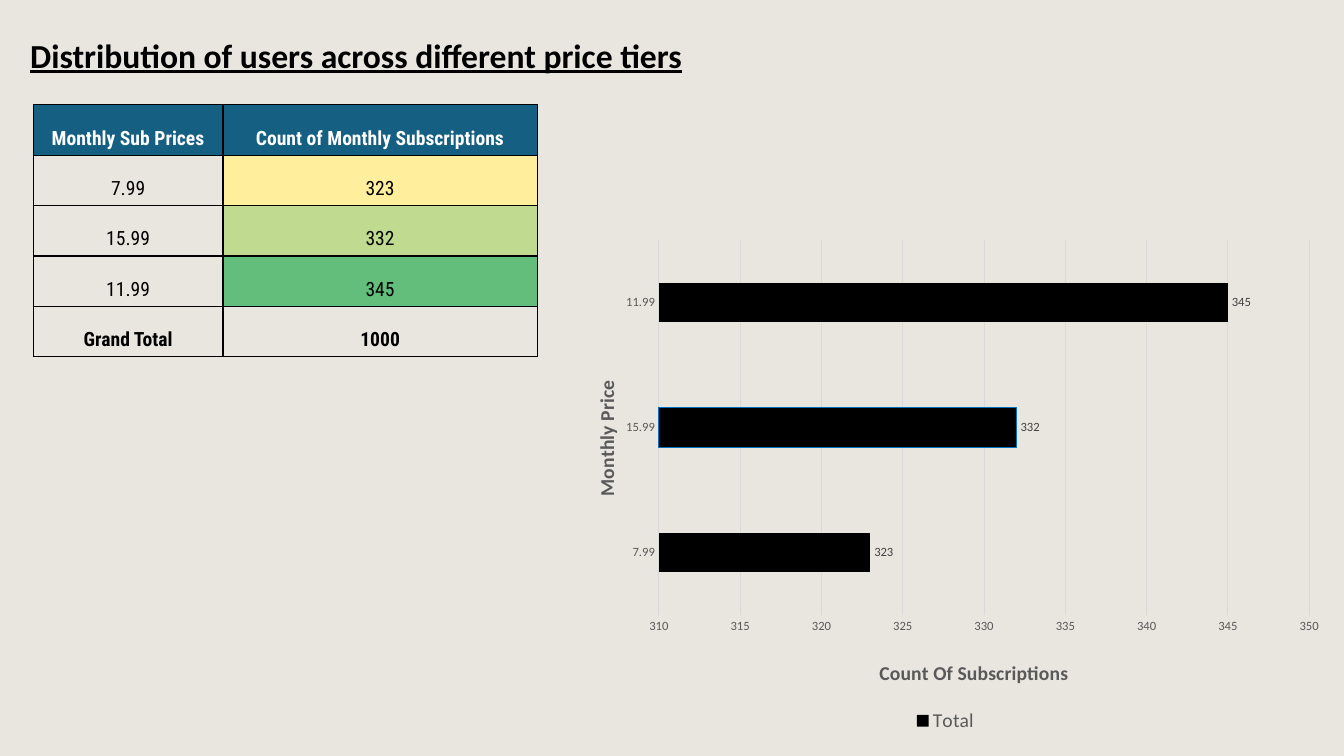
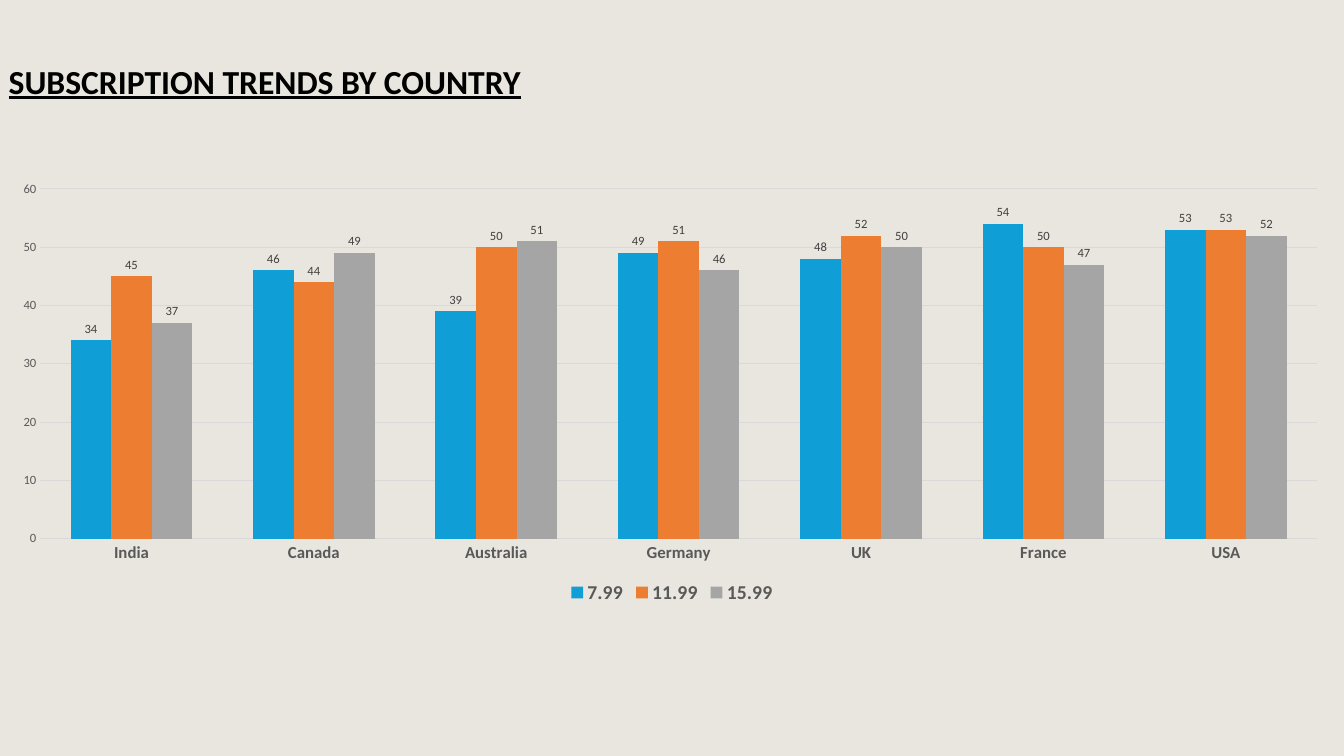
from lxml.etree import SubElement
from pptx import Presentation
from pptx.chart.data import CategoryChartData
from pptx.dml.color import RGBColor
from pptx.enum.chart import XL_CHART_TYPE, XL_LABEL_POSITION, XL_LEGEND_POSITION, XL_TICK_MARK
from pptx.enum.text import MSO_ANCHOR, PP_ALIGN
from pptx.oxml.ns import qn
from pptx.util import Cm, Pt

COLOURS = {
    "background": "E9E6DF", "black": "000000", "white": "FFFFFF",
    "header": "145F82", "low": "FFEF9C", "middle": "C0DB8F", "high": "63BE7B",
    "axis": "595959", "label": "404040", "grid": "D9D9D9", "outline": "0070C0",
    "blue": "0F9ED5", "orange": "ED7D31", "grey": "A5A5A5",
}
BODY_FONT = "Calibri"
TABLE_FONT = "Roboto Condensed"


def rgb(name):
    return RGBColor.from_string(COLOURS[name])


def style_font(font, size, colour="black", bold=False, underline=False, name=BODY_FONT):
    font.name, font.size, font.bold = name, Pt(size), bold
    font.underline = underline
    font.color.rgb = rgb(colour)


def write_text(frame, text, align=PP_ALIGN.LEFT, line_spacing=None, **font_format):
    para = frame.paragraphs[0]
    para.alignment = align
    para.line_spacing = line_spacing
    span = para.add_run()
    span.text = text
    style_font(span.font, **font_format)


def place(parent, index, **fractions):
    """Fix a chart part at fractions of the chart's width and height."""
    layout = parent.find(qn("c:layout"))
    if layout is None:
        layout = SubElement(parent, qn("c:layout"))
        parent.insert(index, layout)
    manual = SubElement(layout, qn("c:manualLayout"))
    settings = {"xMode": "edge", "yMode": "edge", **fractions}
    if "w" in fractions:
        settings = {"layoutTarget": "inner", **settings}
    for tag, value in settings.items():
        SubElement(manual, qn(f"c:{tag}")).set("val", str(value))


def add_borders(cell, colour="black", width=1):
    properties = cell._tc.get_or_add_tcPr()
    for index, side in enumerate(("lnL", "lnR", "lnT", "lnB")):
        line = SubElement(properties, qn(f"a:{side}"), w=str(Pt(width)))
        fill = SubElement(line, qn("a:solidFill"))
        SubElement(fill, qn("a:srgbClr"), val=COLOURS[colour])
        properties.insert(index, line)


class SlideBuilder:
    """Holds the deck, its style and the current slide."""

    def __init__(self):
        self.deck = Presentation()
        self.deck.slide_width, self.deck.slide_height = Cm(33.87), Cm(19.05)
        self.page = None

    def new_page(self):
        self.page = self.deck.slides.add_slide(self.deck.slide_layouts[6])
        fill = self.page.background.fill
        fill.solid()
        fill.fore_color.rgb = rgb("background")

    def title(self, text, left, top, width, height, anchor=MSO_ANCHOR.MIDDLE):
        box = self.page.shapes.add_textbox(Cm(left), Cm(top), Cm(width), Cm(height))
        box.text_frame.word_wrap = True
        box.text_frame.vertical_anchor = anchor
        write_text(box.text_frame, text, line_spacing=0.9, size=24, bold=True, underline=True)

    def table(self, rows, fills, left, top, widths, row_height):
        """First and last rows are bold; fills maps (row, column) to a colour."""
        table = self.page.shapes.add_table(
            len(rows), len(widths), Cm(left), Cm(top),
            Cm(sum(widths)), Cm(row_height * len(rows))).table
        table.first_row = table.horz_banding = False
        for column, width in zip(table.columns, widths):
            column.width = Cm(width)
        for r, row in enumerate(rows):
            table.rows[r].height = Cm(row_height)
            for c, text in enumerate(row):
                cell = table.cell(r, c)
                cell.vertical_anchor = MSO_ANCHOR.BOTTOM
                cell.margin_left = cell.margin_right = cell.margin_top = Cm(0.03)
                cell.margin_bottom = Cm(0.13)
                if (r, c) in fills:
                    cell.fill.solid()
                    cell.fill.fore_color.rgb = rgb(fills[r, c])
                else:
                    cell.fill.background()
                add_borders(cell)
                write_text(cell.text_frame, text, align=PP_ALIGN.CENTER, size=14,
                           name=TABLE_FONT, bold=r in (0, len(rows) - 1),
                           colour="white" if r == 0 else "black")

    def chart(self, kind, categories, series, box, plot, scale, gap,
              category_size=9, bold=False):
        """series maps a name to its values and colour; scale is low, high, step."""
        data = CategoryChartData()
        data.categories = categories
        for name, (values, _) in series.items():
            data.add_series(name, values)
        chart = self.page.shapes.add_chart(kind, *map(Cm, box), data).chart
        style_font(chart.font, 10)
        chart.has_title = False
        place(chart._chartSpace.chart.plotArea, 0, **plot)

        # Legend
        chart.has_legend = True
        chart.legend.position = XL_LEGEND_POSITION.BOTTOM
        chart.legend.include_in_layout = False
        style_font(chart.legend.font, 14, "axis", bold)

        # Axes
        category_axis, value_axis = chart.category_axis, chart.value_axis
        for axis in (category_axis, value_axis):
            axis.major_tick_mark = axis.minor_tick_mark = XL_TICK_MARK.NONE
        style_font(category_axis.tick_labels.font, category_size, "axis", bold)
        style_font(value_axis.tick_labels.font, 9, "axis")
        value_axis.minimum_scale, value_axis.maximum_scale, value_axis.major_unit = scale
        value_axis.format.line.fill.background()
        value_axis.has_major_gridlines = True
        for part in (category_axis, value_axis.major_gridlines):
            part.format.line.color.rgb = rgb("grid")
            part.format.line.width = Pt(0.75)

        # Bars and their labels
        bars = chart.plots[0]
        bars.gap_width = gap
        bars.vary_by_categories = False
        for entry, (_, colour) in zip(bars.series, series.values()):
            entry.format.fill.solid()
            entry.format.fill.fore_color.rgb = rgb(colour)
            entry.invert_if_negative = False
            labels = entry.data_labels
            labels.show_value = True
            labels.position = XL_LABEL_POSITION.OUTSIDE_END
            style_font(labels.font, 9, "label")
        return chart

    def axis_title(self, axis, text, x, y, rotation=0):
        title = axis.axis_title
        write_text(title.text_frame, text, align=None, size=14, colour="axis", bold=True)
        title.text_frame._txBody.bodyPr.set("rot", str(rotation * 60000))
        place(title._element, 1, x=x, y=y)


def price_tiers(builder):
    builder.new_page()
    builder.title("Distribution of users across different price tiers",
                  0.51, 0.86, 21.39, 1.09, anchor=MSO_ANCHOR.TOP)
    tiers = {"7.99": 323, "15.99": 332, "11.99": 345}
    rows = [("Monthly Sub Prices", "Count of Monthly Subscriptions"),
            *((price, str(count)) for price, count in tiers.items()),
            ("Grand Total", str(sum(tiers.values())))]
    fills = {(0, 0): "header", (0, 1): "header",
             (1, 1): "low", (2, 1): "middle", (3, 1): "high"}
    builder.table(rows, fills, 0.84, 2.64, widths=(4.78, 7.92), row_height=1.27)

    chart = builder.chart(
        XL_CHART_TYPE.BAR_CLUSTERED, list(tiers),
        {"Total": (list(tiers.values()), "black")},
        box=(14.07, 5.79, 19.51, 12.78), plot={"x": 0.13, "y": 0.02, "w": 0.84, "h": 0.74},
        scale=(310, 350, 5), gap=219)
    builder.axis_title(chart.category_axis, "Monthly Price", 0.04, 0.29, rotation=-90)
    builder.axis_title(chart.value_axis, "Count Of Subscriptions", 0.41, 0.84)

    # Outlined middle bar
    middle_bar = chart.plots[0].series[0].points[1].format
    middle_bar.fill.solid()
    middle_bar.fill.fore_color.rgb = rgb("black")
    middle_bar.line.color.rgb = rgb("outline")
    middle_bar.line.width = Pt(0.75)


def country_trends(builder):
    builder.new_page()
    builder.title("SUBSCRIPTION TRENDS BY COUNTRY", -0.03, 1.42, 16.48, 1.37)
    builder.chart(
        XL_CHART_TYPE.COLUMN_CLUSTERED,
        ["India", "Canada", "Australia", "Germany", "UK", "France", "USA"],
        {"7.99": ([34, 46, 39, 49, 48, 54, 53], "blue"),
         "11.99": ([45, 44, 50, 51, 52, 50, 53], "orange"),
         "15.99": ([37, 49, 51, 46, 50, 47, 52], "grey")},
        box=(0, 4.32, 33.87, 11.02), plot={"x": 0.03, "y": 0.04, "w": 0.95, "h": 0.8},
        scale=(0, 60, 10), gap=150, category_size=12, bold=True)


def main():
    builder = SlideBuilder()
    price_tiers(builder)
    country_trends(builder)
    builder.deck.save("out.pptx")


if __name__ == "__main__":
    main()
